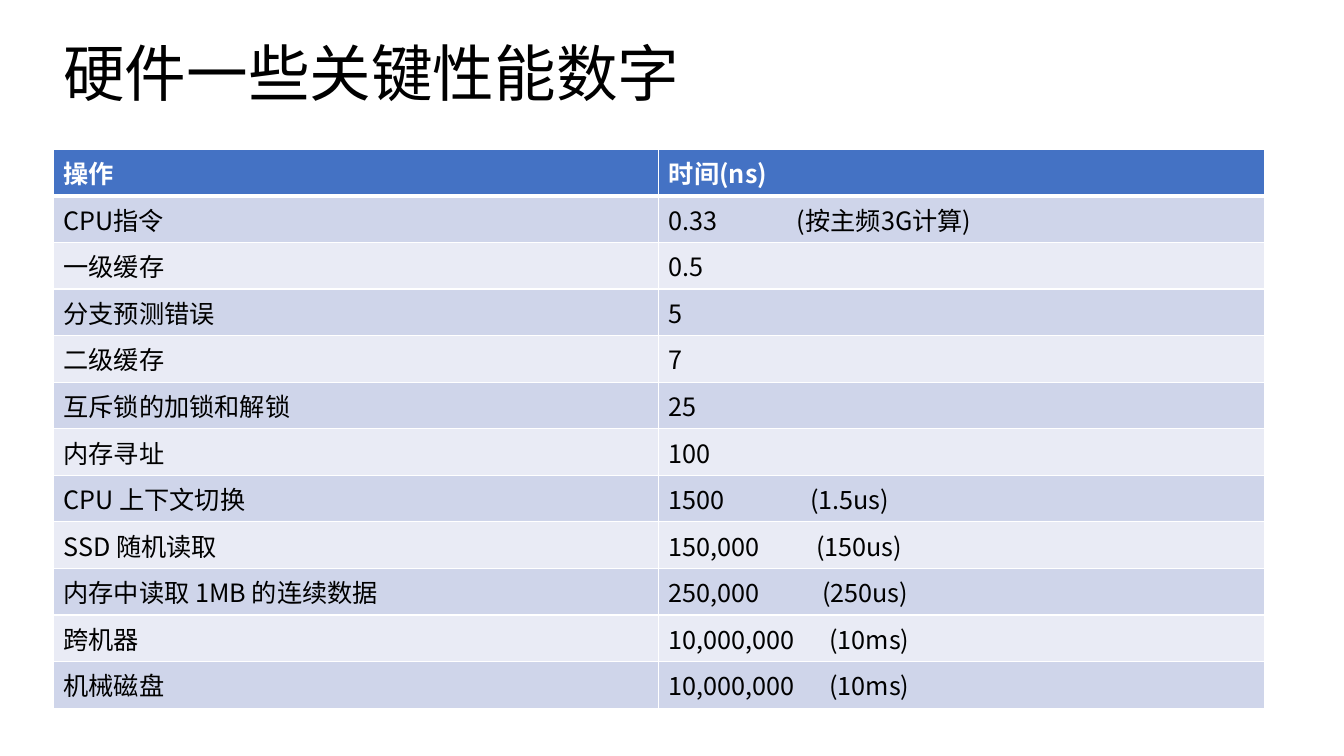
from lxml import etree
from pptx import Presentation
from pptx.dml.color import RGBColor
from pptx.enum.text import MSO_ANCHOR
from pptx.oxml.ns import qn
from pptx.util import Inches, Pt

MIDDLE = MSO_ANCHOR.MIDDLE
FONT = "Noto Sans CJK SC"
BLACK, WHITE = "000000", "FFFFFF"
HEADER_FILL = "4472C4"
BAND_FILLS = ("CFD5EA", "E9EBF5")

TITLE = "硬件一些关键性能数字"
HEADINGS = ("操作", "时间(ns)")
# operation, time, note, distance of the note from the start of the time
LATENCIES = [
    ("CPU指令", "0.33", "(按主频3G计算)", 1.27),
    ("一级缓存", "0.5", "", 0),
    ("分支预测错误", "5", "", 0),
    ("二级缓存", "7", "", 0),
    ("互斥锁的加锁和解锁", "25", "", 0),
    ("内存寻址", "100", "", 0),
    ("CPU 上下文切换", "1500", "(1.5us)", 1.4),
    ("SSD 随机读取", "150,000", "(150us)", 1.46),
    ("内存中读取 1MB 的连续数据", "250,000", "(250us)", 1.52),
    ("跨机器", "10,000,000", "(10ms)", 1.59),
    ("机械磁盘", "10,000,000", "(10ms)", 1.59),
]

LEFT, TABLE_TOP = 0.53, 1.48
TABLE_WIDTH, TABLE_HEIGHT = 12.01, 5.48


def rgb(color):
    return RGBColor.from_string(color)


def style(paragraph, size, color, bold=False):
    for run in paragraph.runs:
        font = run.font
        font.size, font.bold, font.name = Pt(size), bold, FONT
        font.color.rgb = rgb(color)
        latin = run._r.get_or_add_rPr().find(qn("a:latin"))
        east_asian = etree.Element(qn("a:ea"), typeface=FONT)
        latin.addnext(east_asian)


def set_borders(cell, top_width, bottom_width):
    properties = cell._tc.get_or_add_tcPr()
    widths = {"lnL": 1, "lnR": 1, "lnT": top_width, "lnB": bottom_width}
    for position, (side, width) in enumerate(widths.items()):
        line = etree.Element(qn(f"a:{side}"), w=str(Pt(width)))
        fill = etree.SubElement(line, qn("a:solidFill"))
        etree.SubElement(fill, qn("a:srgbClr"), val=WHITE)
        properties.insert(position, line)


def add_tab_stop(paragraph, distance):
    tabs = etree.SubElement(paragraph._p.get_or_add_pPr(), qn("a:tabLst"))
    etree.SubElement(tabs, qn("a:tab"), pos=str(Inches(distance)), algn="l")


def add_title(slide):
    box = slide.shapes.add_textbox(Inches(LEFT), Inches(0.03), Inches(11.5), Inches(1.45))
    frame = box.text_frame
    frame.word_wrap = True
    frame.vertical_anchor = MIDDLE
    frame.text = TITLE
    frame.paragraphs[0].line_spacing = 0.9
    style(frame.paragraphs[0], 44, BLACK)


def add_latency_table(slide):
    rows = [(*HEADINGS, "", 0)] + LATENCIES
    table = slide.shapes.add_table(
        len(rows), len(HEADINGS), Inches(LEFT), Inches(TABLE_TOP),
        Inches(TABLE_WIDTH), Inches(TABLE_HEIGHT)).table
    for row_index, (operation, time, note, distance) in enumerate(rows):
        is_header = row_index == 0
        fill = HEADER_FILL if is_header else BAND_FILLS[(row_index - 1) % 2]
        time_text = f"{time}\t{note}" if note else time
        for column, text in enumerate((operation, time_text)):
            cell = table.cell(row_index, column)
            cell.text_frame.text = text
            paragraph = cell.text_frame.paragraphs[0]
            style(paragraph, 18, WHITE if is_header else BLACK, is_header)
            if "\t" in text:
                add_tab_stop(paragraph, distance)
            cell.fill.solid()
            cell.fill.fore_color.rgb = rgb(fill)
            set_borders(cell, 3 if row_index == 1 else 1, 3 if is_header else 1)


def main():
    deck = Presentation()
    deck.slide_width, deck.slide_height = Inches(13.33), Inches(7.5)
    slide = deck.slides.add_slide(deck.slide_layouts[6])
    add_latency_table(slide)
    add_title(slide)
    deck.save("out.pptx")


if __name__ == "__main__":
    main()
